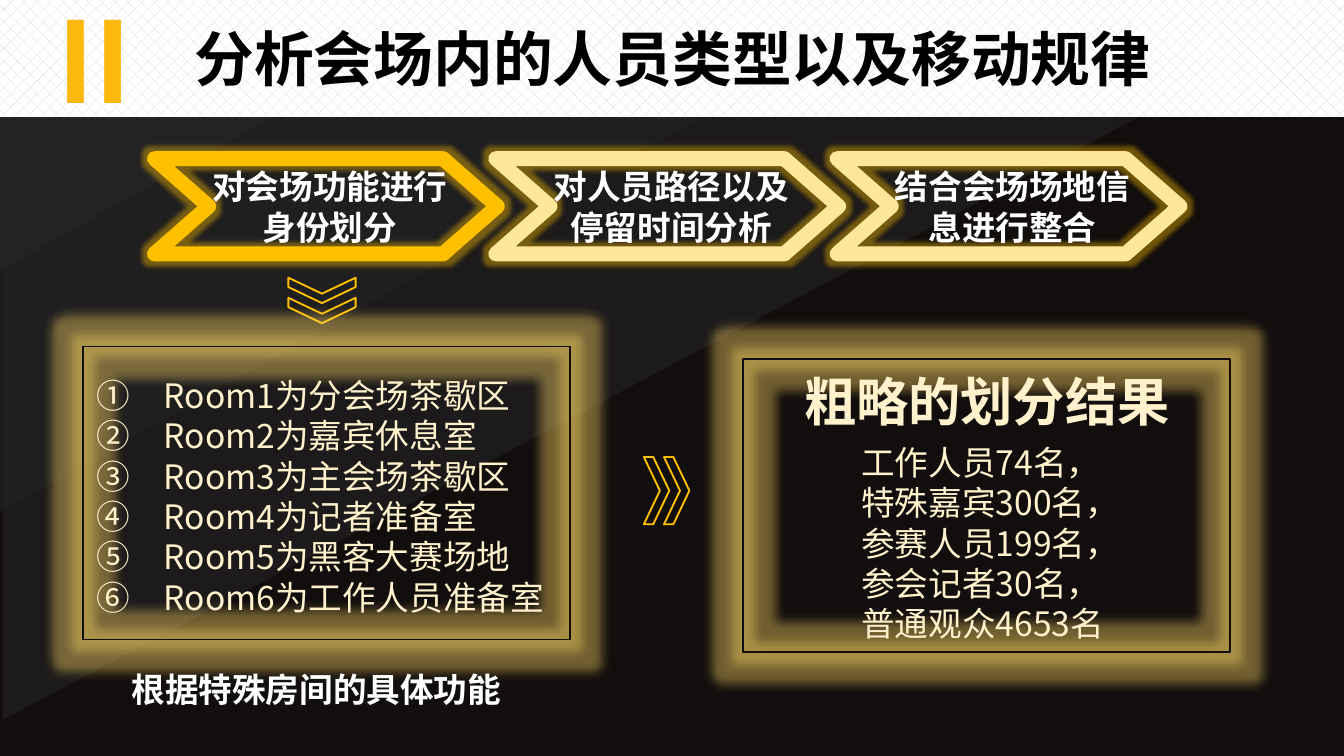
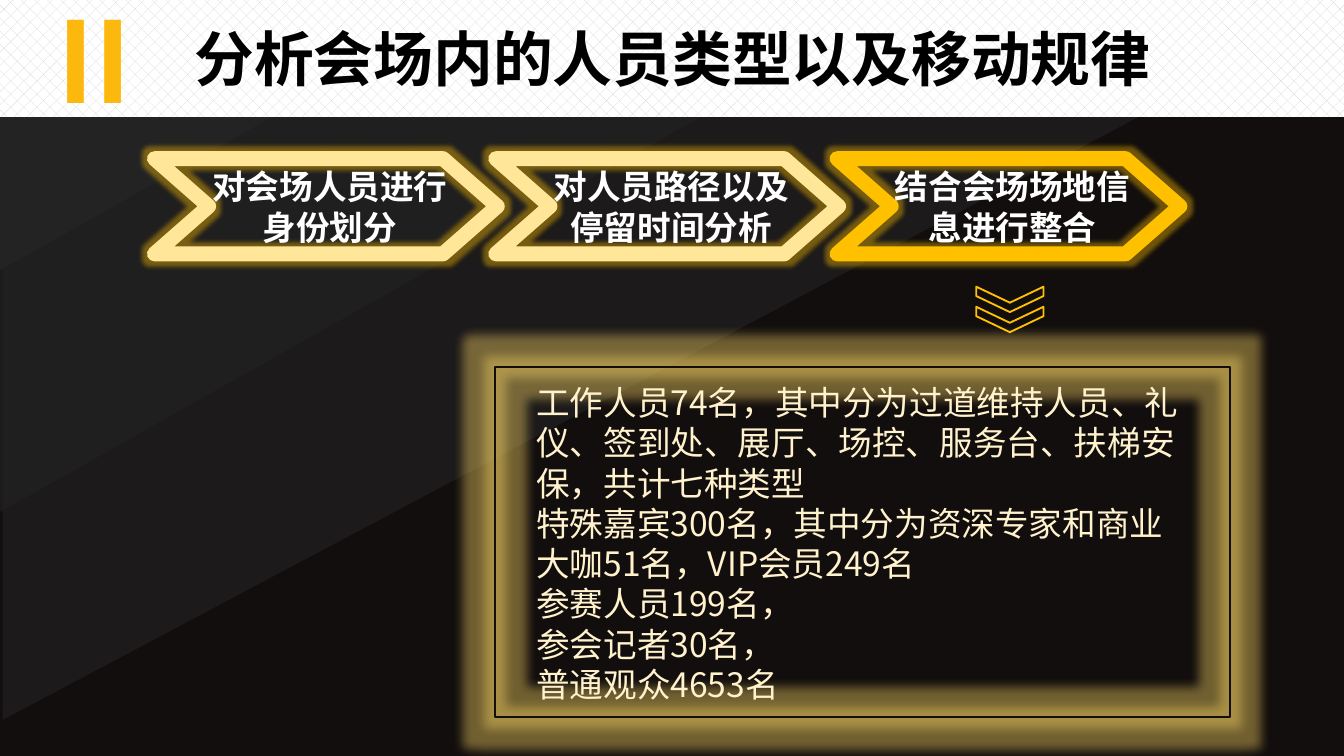
from lxml.etree import SubElement
from pptx import Presentation
from pptx.dml.color import RGBColor
from pptx.enum.dml import MSO_PATTERN as Pattern
from pptx.enum.shapes import MSO_SHAPE as Shape
from pptx.enum.text import MSO_ANCHOR as Anchor, MSO_AUTO_SIZE as AutoSize, PP_ALIGN as Align
from pptx.oxml.ns import qn
from pptx.util import Cm, Pt

FONT = "Noto Sans CJK SC"
NIGHT, GREY, WHITE, BLACK = "120E0D", "232323", "FFFFFF", "000000"
GOLD, PALE, CREAM, AMBER = "FFC000", "FFE699", "FFF2CC", "FCB80D"
TITLE = "分析会场内的人员类型以及移动规律"
STEP_LEFT, STEP_TOP, STEP_PITCH = 2.92, 3, 6.45
ARROW_PITCH = 0.38


def color(code):
    return RGBColor.from_string(code)


class Builder:
    """Holds the deck's style and the slide being built."""

    def __init__(self):
        self.deck = Presentation()
        self.deck.slide_width, self.deck.slide_height = Cm(25.4), Cm(14.29)
        self.layout = self.deck.slide_layouts[1]
        backdrop = self.deck.slide_master.background.fill
        backdrop.solid()
        backdrop.fore_color.rgb = color(NIGHT)
        self.page = None

    def start_page(self):
        first = self.page is None
        self.page = self.deck.slides.add_slide(self.layout)
        if first:
            self.triangles()
        band = self.shape(Shape.FLOWCHART_PROCESS, 0, 0, 25.4, 2.21)
        band.fill.patterned()
        band.fill.pattern = Pattern.PERCENT_30
        band.fill.fore_color.rgb = color("D9D9D9")
        band.fill.back_color.rgb = color(WHITE)
        self.text([("Ⅱ")], 0.05, -0.28, 3.48, 2.82, 60, AMBER, True, Align.CENTER)
        self.text([TITLE], 1.4, 0.28, 22.63, 1.63, 32, BLACK, True, Align.CENTER,
                  font="Calibri", box=self.page.shapes.title)

    def triangles(self):
        for left, top, width, height, alpha in ((0.05, 0.15, 25.35, 13.46, 60),
                                                (0, 0, 17.17, 9.68, 60),
                                                (0, 0, 9.07, 5.11, 100)):
            corner = self.turned(Shape.RIGHT_TRIANGLE, left, top, width, height)
            corner.fill.solid()
            corner.fill.fore_color.rgb = color(GREY)
            if alpha < 100:
                tint = corner.element.spPr.find(".//" + qn("a:srgbClr"))
                SubElement(tint, qn("a:alpha"), val=str(alpha * 1000))
            self.layout.shapes.element.append(corner.element)

    def shape(self, kind, left, top, width, height, line=None, weight=1):
        item = self.page.shapes.add_shape(kind, Cm(left), Cm(top), Cm(width), Cm(height))
        item.shadow.inherit = False
        item.fill.background()
        if line:
            item.line.color.rgb = color(line)
            item.line.width = Pt(weight)
        else:
            item.line.fill.background()
        return item

    def turned(self, kind, left, top, width, height, line=None):
        shift = (width - height) / 2
        item = self.shape(kind, left + shift, top - shift, height, width, line)
        item.rotation = 90
        return item

    def glow(self, item, code, radius):
        effects = item.element.spPr.find(qn("a:effectLst"))
        halo = SubElement(effects, qn("a:glow"), rad=str(Pt(radius)))
        tint = SubElement(halo, qn("a:srgbClr"), val=code)
        SubElement(tint, qn("a:alpha"), val="40000")

    def text(self, lines, left, top, width, height, size, code, bold=False,
             align=Align.LEFT, font=FONT, box=None, bullet=None):
        area = Cm(left), Cm(top), Cm(width), Cm(height)
        if box is None:
            box = self.page.shapes.add_textbox(*area)
        else:
            box.left, box.top, box.width, box.height = area
            self.page.shapes.element.append(box.element)
        frame = box.text_frame
        frame.word_wrap = True
        frame.auto_size = AutoSize.SHAPE_TO_FIT_TEXT
        frame.vertical_anchor = Anchor.TOP
        for index, line in enumerate(lines):
            para = frame.add_paragraph() if index else frame.paragraphs[0]
            para.alignment = align
            para.line_spacing = 1.0
            para.space_before = para.space_after = Pt(0)
            properties = para._p.get_or_add_pPr()
            indent = Cm(1.27) if bullet else 0
            properties.set("marL", str(indent))
            properties.set("indent", str(-indent))
            if bullet:
                SubElement(properties, qn("a:buFont"), typeface="+mj-lt")
                SubElement(properties, qn("a:buAutoNum"), type=bullet)
            else:
                SubElement(properties, qn("a:buNone"))
            span = para.add_run()
            span.text = line
            span.font.size = Pt(size)
            span.font.bold = bold
            span.font.color.rgb = color(code)
            span.font.name = font
            if font == FONT:
                SubElement(span.font._element, qn("a:ea"), typeface=font)

    def body(self, lines, left, top, width, height, bullet=None):
        self.text(lines, left, top, width, height, 18, CREAM,
                  box=self.page.placeholders[1], bullet=bullet)

    def steps(self, labels, active):
        lefts = [STEP_LEFT + STEP_PITCH * index for index in range(len(labels))]
        for index, left in enumerate(lefts):
            step = self.shape(Shape.CHEVRON, left, STEP_TOP, 6.48, 1.8,
                              GOLD if index == active else PALE, 8)
            step.adjustments[0] = 0.57
            self.glow(step, GOLD, 5)
        for left, label in zip(lefts, labels):
            self.text([label], left + 0.8, 3.02, 5.03, 2.57, 18, WHITE, True, Align.CENTER)

    def arrows(self, left, top, down):
        for shift in (0, ARROW_PITCH):
            if down:
                arrow = self.turned(Shape.CHEVRON, left, top + shift, 1.27, 0.48, GOLD)
            else:
                arrow = self.shape(Shape.CHEVRON, left + shift, top, 0.48, 1.27, GOLD)
            arrow.adjustments[0] = 0.63

    def panel(self, left, top, width, height):
        frame = self.shape(Shape.RECTANGLE, left, top, width, height, NIGHT)
        self.glow(frame, "FFD966", 11)


def main():
    builder = Builder()
    later_steps = ["对人员路径以及停留时间分析", "结合会场场地信息进行整合"]
    shared_counts = ["参赛人员199名，", "参会记者30名，", "普通观众4653名"]

    builder.start_page()
    builder.steps(["对会场功能进行身份划分"] + later_steps, 0)
    builder.arrows(5.45, 5.25, True)
    builder.panel(1.57, 6.55, 9.2, 5.54)
    uses = ["分会场茶歇区", "嘉宾休息室", "主会场茶歇区", "记者准备室", "黑客大赛场地", "工作人员准备室"]
    rooms = [f"Room{number}为{use}" for number, use in enumerate(uses, 1)]
    builder.body(rooms, 1.57, 6.96, 9.2, 4.88, "circleNumDbPlain")
    builder.text(["根据特殊房间的具体功能"], 1.98, 12.52, 8, 1.8, 18, WHITE, True, Align.CENTER)
    builder.arrows(12.17, 8.64, False)
    builder.panel(14.05, 6.78, 9.2, 5.54)
    builder.text(["粗略的划分结果"], 14.05, 6.86, 9.2, 1.45, 28, CREAM, True, Align.CENTER)
    builder.text(["工作人员74名，", "特殊嘉宾300名，"] + shared_counts,
                 16.03, 8.23, 6.65, 4.11, 18, CREAM)

    builder.start_page()
    builder.steps(["对会场人员进行身份划分"] + later_steps, 2)
    builder.arrows(18.45, 5.42, True)
    builder.panel(9.35, 6.93, 13.89, 6.63)
    builder.body(["工作人员74名，其中分为过道维持人员、礼仪、签到处、展厅、场控、服务台、扶梯安保，共计七种类型",
                  "特殊嘉宾300名，其中分为资深专家和商业大咖51名，VIP会员249名"] + shared_counts,
                 9.88, 7.09, 12.83, 6.4)

    builder.deck.save("out.pptx")


if __name__ == "__main__":
    main()
